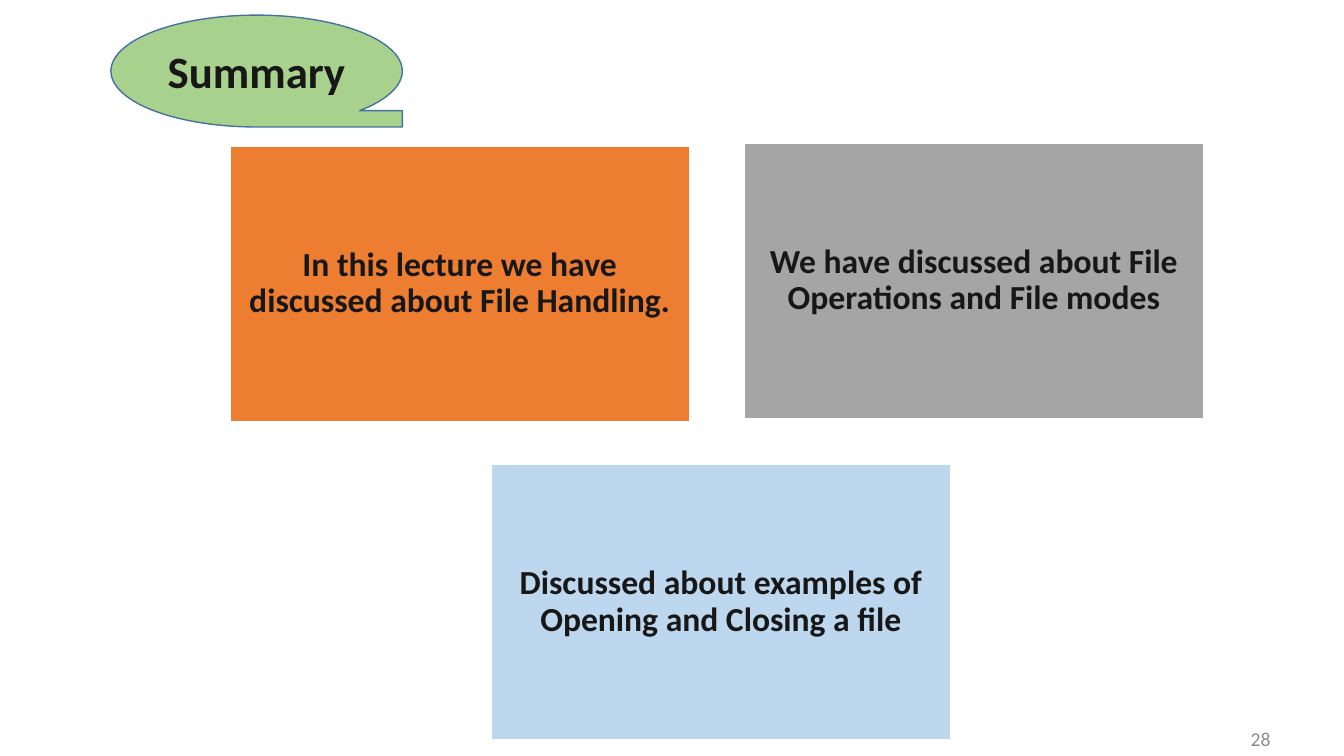
from dataclasses import dataclass

from pptx import Presentation
from pptx.dml.color import RGBColor
from pptx.enum.shapes import MSO_SHAPE as Preset
from pptx.enum.text import MSO_ANCHOR as Anchor, PP_ALIGN as Align
from pptx.util import Pt

PX = 9144  # EMU per px, 100 px to the inch


@dataclass(frozen=True)
class Theme:
    font: str = "Calibri"
    ink: str = "181717"
    muted: str = "8C8C8C"
    title_fill: str = "A9D18E"
    title_line: str = "43739E"
    card_line: str = "FFFFFF"
    orange: str = "ED7D31"
    gray: str = "A5A5A5"
    blue: str = "BDD7EE"
    title_size: int = 32
    card_size: int = 24
    number_size: int = 14


THEME = Theme()


def to_emu(box):
    return [length * PX for length in box]


def write_text(shape, text, size, color, bold=True, align=Align.CENTER, spacing=None, inset=5):
    frame = shape.text_frame
    frame_format = {
        "word_wrap": True,
        "vertical_anchor": Anchor.MIDDLE,
        "margin_top": inset * PX,
        "margin_bottom": inset * PX,
    }
    for name, value in frame_format.items():
        setattr(frame, name, value)
    paragraph = frame.paragraphs[0]
    paragraph.alignment = align
    paragraph.line_spacing = spacing
    run = paragraph.add_run()
    run.text = text
    for name, value in {"name": THEME.font, "size": Pt(size), "bold": bold}.items():
        setattr(run.font, name, value)
    run.font.color.rgb = RGBColor.from_string(color)


def add_panel(slide, preset, box, fill, line):
    shape = slide.shapes.add_shape(preset, *to_emu(box))
    shape.shadow.inherit = False
    shape.fill.solid()
    shape.fill.fore_color.rgb = RGBColor.from_string(fill)
    shape.line.color.rgb = RGBColor.from_string(line)
    shape.line.width = Pt(1)
    return shape


# Title bubble
def add_title(slide, box, text):
    bubble = add_panel(slide, Preset.FLOWCHART_SEQUENTIAL_ACCESS_STORAGE, box,
                       THEME.title_fill, THEME.title_line)
    write_text(bubble, text, THEME.title_size, THEME.ink)


# Summary cards, each offset from the corner of the region
def add_cards(slide, region):
    left, top, card_width, card_height = region
    cards = [
        (0, 3, THEME.orange, "In this lecture we have discussed about File Handling."),
        (510, 0, THEME.gray, "We have discussed about File Operations and File modes"),
        (259, 319, THEME.blue, "Discussed about examples of Opening and Closing a file"),
    ]
    for across, down, fill, text in cards:
        box = (left + across, top + down, card_width, card_height)
        card = add_panel(slide, Preset.RECTANGLE, box, fill, THEME.card_line)
        write_text(card, text, THEME.card_size, THEME.ink, spacing=0.9, inset=10)


# Slide number
def add_slide_number(slide, box, text):
    number = slide.shapes.add_textbox(*to_emu(box))
    write_text(number, text, THEME.number_size, THEME.muted, bold=False,
               align=Align.RIGHT, inset=0)


def main():
    presentation = Presentation()
    presentation.slide_width = 1333 * PX
    presentation.slide_height = 750 * PX
    slide = presentation.slides.add_slide(presentation.slide_layouts[6])
    add_slide_number(slide, (1046, 730, 224, 5), "28")
    add_title(slide, (110, 15, 289, 111), "Summary")
    add_cards(slide, (228, 142, 456, 273))
    presentation.save("out.pptx")


if __name__ == "__main__":
    main()
